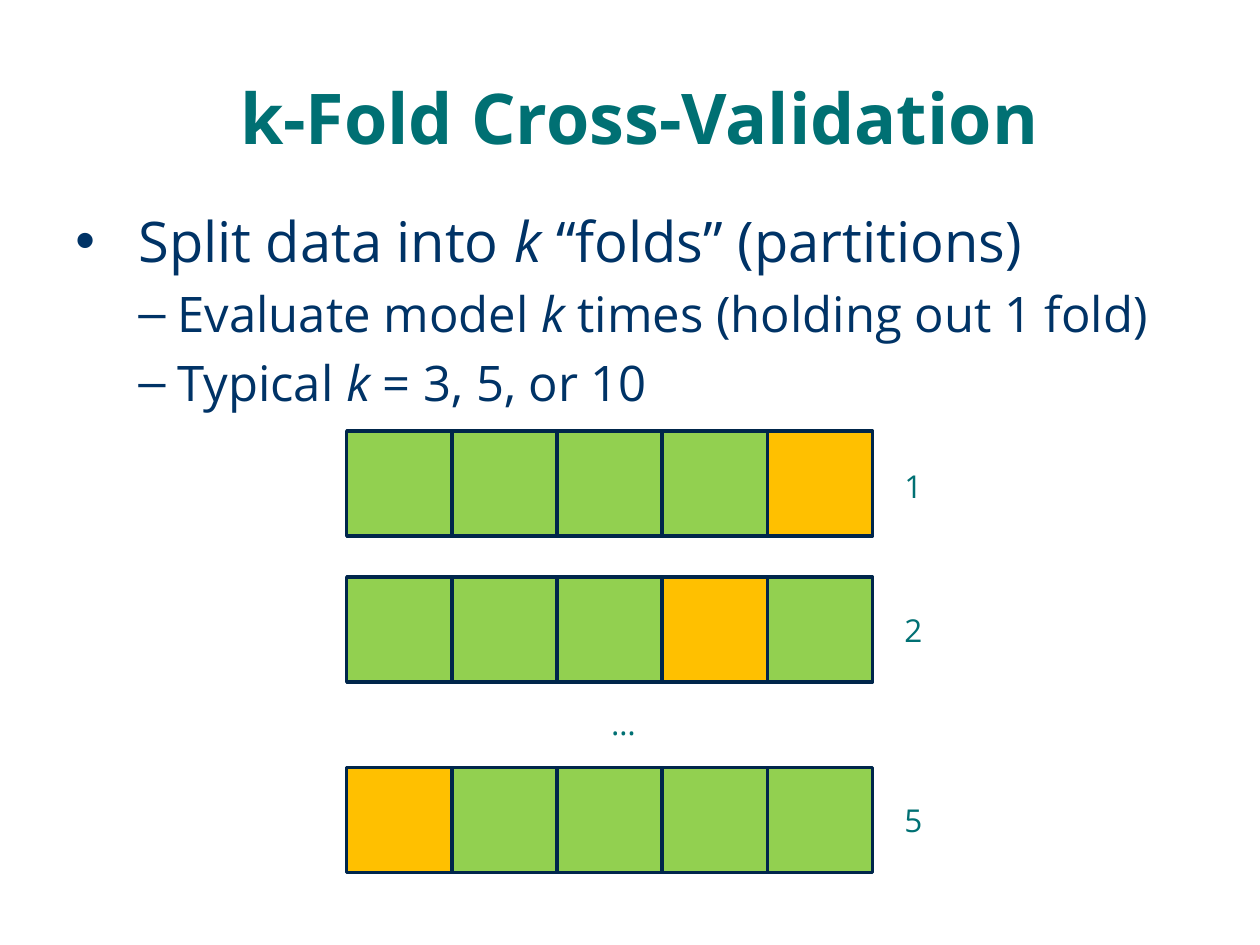
from dataclasses import dataclass

from lxml import etree
from pptx import Presentation
from pptx.dml.color import RGBColor
from pptx.enum.shapes import MSO_SHAPE
from pptx.enum.text import MSO_ANCHOR, PP_ALIGN
from pptx.oxml.ns import qn
from pptx.util import Cm, Pt

RECTANGLE = MSO_SHAPE.RECTANGLE
MIDDLE = MSO_ANCHOR.MIDDLE
CENTER = PP_ALIGN.CENTER

FONT = "Open Sans"
COLORS = {
    "title": "007073",
    "body": "003366",
    "train": "92D050",
    "held_out": "FFC000",
    "outline": "00264B",
}
FOLD_COUNT = 5
FOLD_LEFT = 6.99
FOLD_SIZE = 2.12


@dataclass
class Bullet:
    before: str
    variable: str
    after: str
    level: int
    size: int
    symbol: str
    margin: float
    hanging: float


@dataclass
class Round:
    label: str
    top: float
    label_top: float
    held_out: int


BULLETS = [
    Bullet("Split data into ", "k ", "“folds” (partitions)", 0, 32, "•", 1.27, 1.27),
    Bullet("Evaluate model ", "k ", "times (holding out 1 fold)", 1, 28, "–", 2.06, 0.79),
    Bullet("Typical ", "k ", "= 3, 5, or 10", 1, 28, "–", 2.06, 0.79),
]
ROUNDS = [
    Round("1", 8.69, 9.3, 4),
    Round("2", 11.63, 12.19, 3),
    Round("5", 15.47, 16.03, 0),
]


def color(name: str) -> RGBColor:
    return RGBColor.from_string(COLORS[name])


def set_font(paragraph, size: int, color_name: str, bold: bool = False) -> None:
    paragraph.font.name = FONT
    paragraph.font.size = Pt(size)
    paragraph.font.bold = bold
    paragraph.font.color.rgb = color(color_name)


def add_text_frame(slide, left: float, top: float, width: float, height: float,
                   wrap: bool = True):
    box = slide.shapes.add_textbox(Cm(left), Cm(top), Cm(width), Cm(height))
    box.text_frame.word_wrap = wrap
    return box.text_frame


def add_label(slide, text: str, left: float, top: float) -> None:
    paragraph = add_text_frame(slide, left, top, 0.9, 1.02, wrap=False).paragraphs[0]
    paragraph.text = text
    set_font(paragraph, 18, "title")


def write_bullet(paragraph, bullet: Bullet) -> None:
    paragraph.level = bullet.level
    for text, italic in ((bullet.before, False), (bullet.variable, True),
                         (bullet.after, False)):
        run = paragraph.add_run()
        run.text = text
        run.font.italic = italic
    # Spacing relative to the text size, hanging indent and bullet symbol
    properties = paragraph._p.get_or_add_pPr()
    properties.set("marL", str(Cm(bullet.margin)))
    properties.set("indent", str(-Cm(bullet.hanging)))
    spacing = etree.SubElement(properties, qn("a:spcBef"))
    etree.SubElement(spacing, qn("a:spcPct"), val="20000")
    etree.SubElement(properties, qn("a:buFont"), typeface="Arial")
    etree.SubElement(properties, qn("a:buChar"), char=bullet.symbol)
    set_font(paragraph, bullet.size, "body")


def add_round(slide, fold_round: Round) -> None:
    for index in range(FOLD_COUNT):
        fold = slide.shapes.add_shape(
            RECTANGLE, Cm(FOLD_LEFT + index * FOLD_SIZE), Cm(fold_round.top),
            Cm(FOLD_SIZE), Cm(FOLD_SIZE))
        fold.shadow.inherit = False
        fold.fill.solid()
        fold.fill.fore_color.rgb = color(
            "held_out" if index == fold_round.held_out else "train")
        fold.line.color.rgb = color("outline")
        fold.line.width = Pt(2)
    add_label(slide, fold_round.label, 17.98, fold_round.label_top)


def main() -> None:
    presentation = Presentation()
    presentation.slide_width = Cm(25.4)
    presentation.slide_height = Cm(19.05)
    slide = presentation.slides.add_slide(presentation.slide_layouts[6])

    # Title
    title_frame = add_text_frame(slide, 1.27, 0.76, 22.86, 3.18)
    title_frame.vertical_anchor = MIDDLE
    title = title_frame.paragraphs[0]
    title.text = " k-Fold Cross-Validation"
    title.alignment = CENTER
    set_font(title, 40, "title", bold=True)

    # Bullets
    body_frame = add_text_frame(slide, 1.27, 4.04, 22.86, 10.13)
    for index, bullet in enumerate(BULLETS):
        paragraph = body_frame.add_paragraph() if index else body_frame.paragraphs[0]
        write_bullet(paragraph, bullet)

    # Rounds of folds, with the skipped ones shown by an ellipsis
    for fold_round in ROUNDS:
        add_round(slide, fold_round)
    add_label(slide, "…", 12.07, 14.07)

    presentation.save("out.pptx")


if __name__ == "__main__":
    main()
